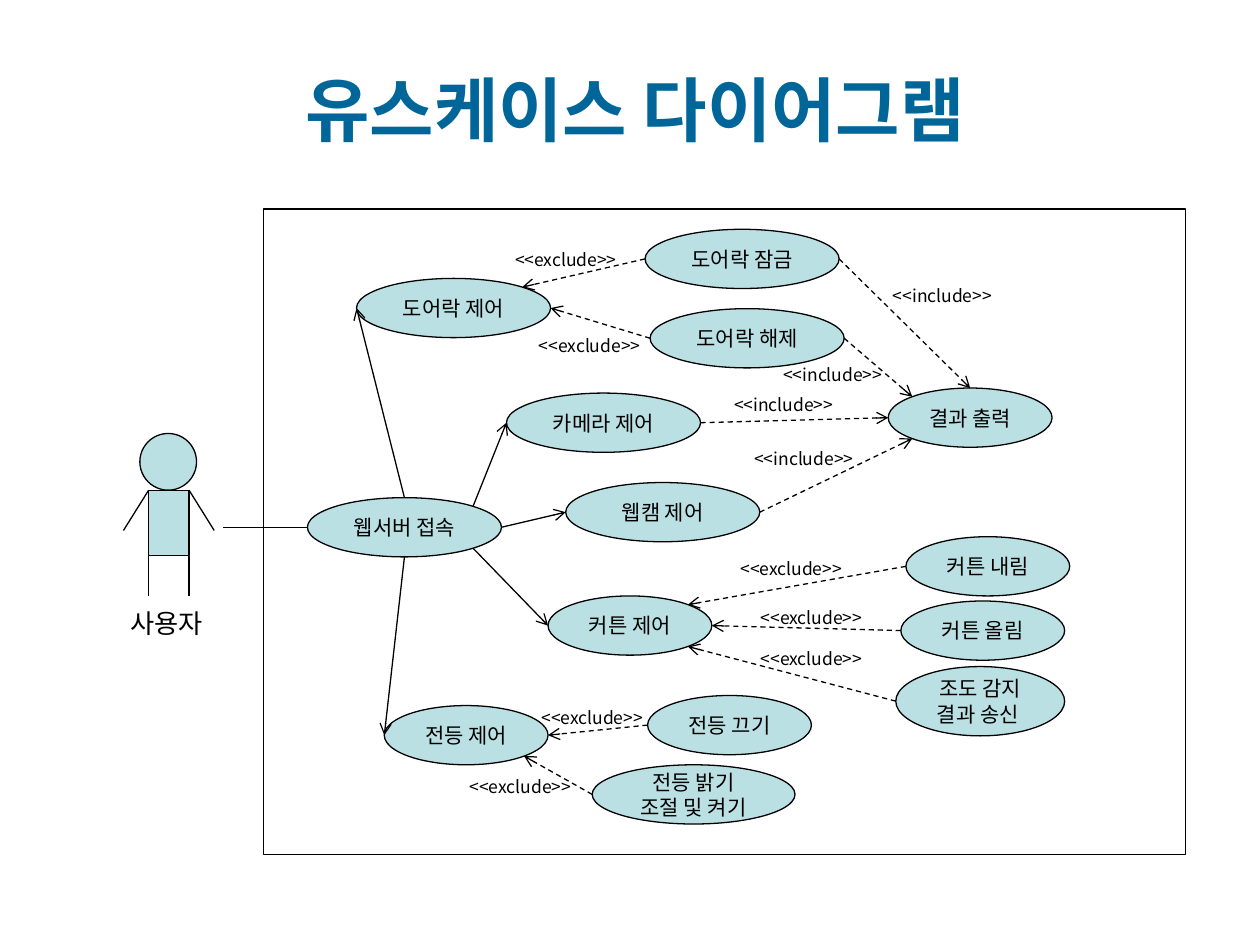
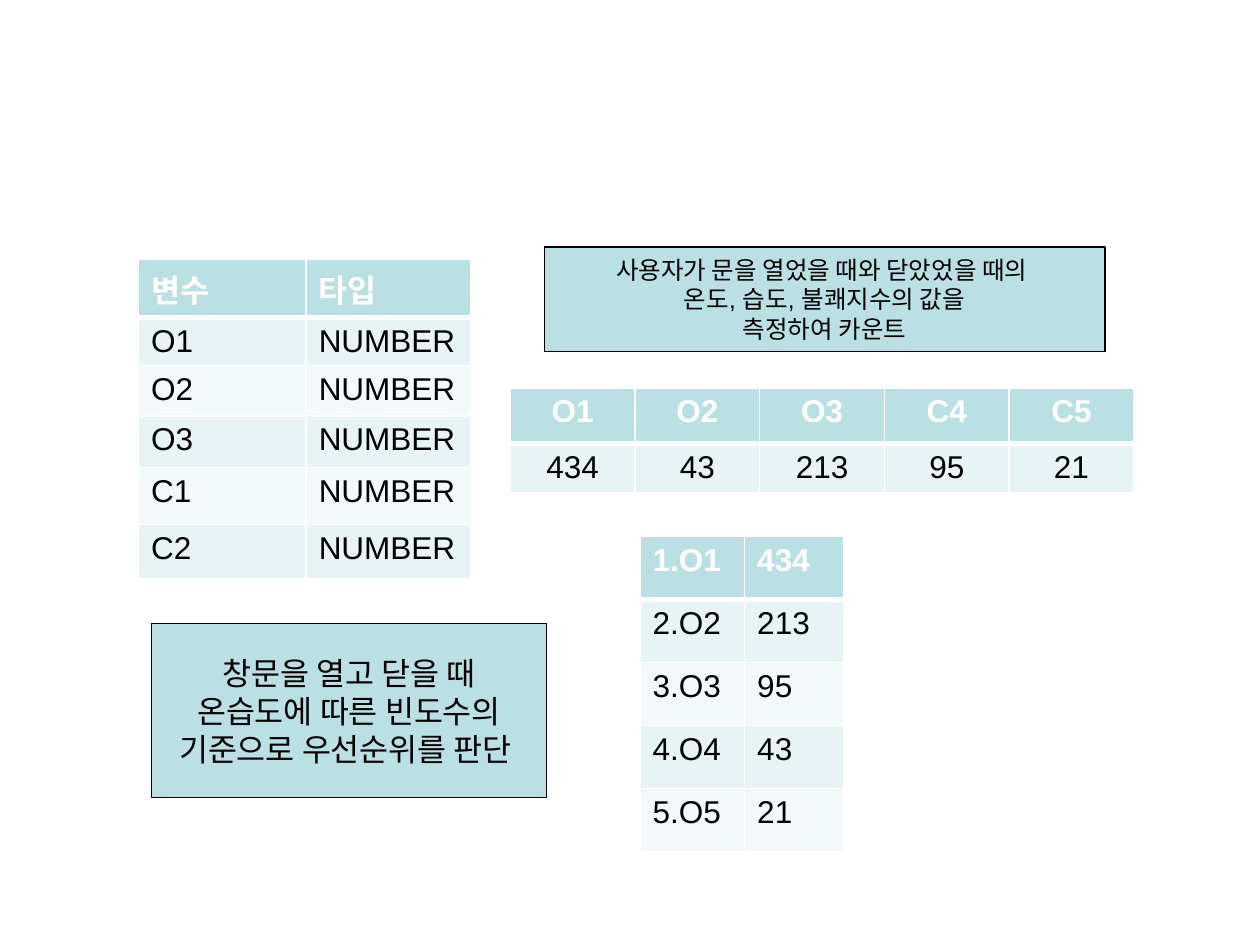
from dataclasses import dataclass
from itertools import product
from math import sqrt
from typing import NamedTuple

from lxml import etree
from pptx import Presentation
from pptx.dml.color import RGBColor
from pptx.enum.dml import MSO_LINE
from pptx.enum.shapes import MSO_CONNECTOR, MSO_SHAPE
from pptx.enum.text import MSO_ANCHOR, PP_ALIGN
from pptx.oxml.ns import qn
from pptx.util import Inches, Pt

OVAL, RECT = MSO_SHAPE.OVAL, MSO_SHAPE.RECTANGLE
STRAIGHT, DASH = MSO_CONNECTOR.STRAIGHT, MSO_LINE.DASH
LEFT, CENTER = PP_ALIGN.LEFT, PP_ALIGN.CENTER
TOP, MIDDLE = MSO_ANCHOR.TOP, MSO_ANCHOR.MIDDLE


@dataclass(frozen=True)
class Theme:
    title: str = "006699"
    ink: str = "000000"
    paper: str = "FFFFFF"
    accent: str = "BBE0E3"
    bands: tuple[str, str] = ("E7F3F4", "F3F9FA")
    title_font: str = "League Spartan"
    body_font: str = "Arial"
    korean_font: str = "Noto Sans CJK KR"
    title_size: float = 40
    large: float = 18
    actor_size: float = 15
    note_size: float = 14
    case_size: float = 12
    label_size: float = 10
    line: float = 0.75


THEME = Theme()


class Box(NamedTuple):
    left: float
    top: float
    width: float
    height: float


class Point(NamedTuple):
    x: float
    y: float


class UseCase(NamedTuple):
    text: str
    left: float
    top: float
    width: float = 1.54
    height: float = 0.47

    def at(self, side: str) -> Point:
        """Point on the oval, named by compass direction."""
        dx = ("E" in side) - ("W" in side)
        dy = ("S" in side) - ("N" in side)
        reach = 0.5 / sqrt(2) if dx and dy else 0.5
        return Point(self.left + self.width * (0.5 + dx * reach),
                     self.top + self.height * (0.5 + dy * reach))


class Relation(NamedTuple):
    source: str
    source_side: str
    target: str
    target_side: str
    dashed: bool = True


class Label(NamedTuple):
    text: str
    left: float
    top: float


class Grid(NamedTuple):
    left: float
    top: float
    columns: list[float]
    heights: list[float]
    rows: list[list[str]]
    align: PP_ALIGN = LEFT


NARROW = 1.3
USE_CASES = {
    "server": UseCase("웹서버 접속", 2.44, 3.95),
    "door": UseCase("도어락 제어", 2.83, 2.21),
    "light": UseCase("전등 제어", 3.05, 5.6, NARROW),
    "curtain": UseCase("커튼 제어", 4.35, 4.73, NARROW),
    "unlock": UseCase("도어락 해제", 5.16, 2.45),
    "lock": UseCase("도어락 잠금", 5.12, 1.82),
    "curtain_down": UseCase("커튼 내림", 7.19, 4.26, NARROW),
    "curtain_up": UseCase("커튼 올림", 7.15, 4.77, NARROW),
    "light_off": UseCase("전등 끄기", 5.14, 5.52, NARROW),
    "light_on": UseCase("전등 밝기 조절 및 켜기", 4.7, 6.07, 1.61),
    "result": UseCase("결과 출력", 7.05, 3.08, NARROW),
    "camera": UseCase("카메라 제어", 4.02, 3.12),
    "light_sensor": UseCase("조도 감지 결과 송신 ", 7.11, 5.29, 1.34, 0.55),
    "webcam": UseCase("웹캠 제어", 4.49, 3.83),
}
RELATIONS = [
    Relation("server", "N", "door", "W", False),
    Relation("server", "NE", "camera", "W", False),
    Relation("server", "E", "webcam", "W", False),
    Relation("server", "SE", "curtain", "W", False),
    Relation("server", "S", "light", "W", False),
    Relation("lock", "W", "door", "NE"),
    Relation("unlock", "W", "door", "E"),
    Relation("curtain_down", "W", "curtain", "NE"),
    Relation("curtain_up", "W", "curtain", "E"),
    Relation("light_sensor", "W", "curtain", "SE"),
    Relation("light_off", "W", "light", "E"),
    Relation("light_on", "W", "light", "SE"),
    Relation("lock", "E", "result", "N"),
    Relation("unlock", "E", "result", "NW"),
    Relation("camera", "E", "result", "W"),
    Relation("webcam", "E", "result", "SW"),
]
INCLUDE, EXCLUDE = "<<include>>", "<<exclude>>"
LABELS = [
    Label(EXCLUDE, 3.94, 1.93), Label(EXCLUDE, 4.13, 2.61),
    Label(EXCLUDE, 5.73, 4.38), Label(EXCLUDE, 5.89, 4.77),
    Label(EXCLUDE, 5.89, 5.09), Label(EXCLUDE, 4.15, 5.56),
    Label(EXCLUDE, 3.58, 6.11), Label(INCLUDE, 6.93, 2.21),
    Label(INCLUDE, 6.06, 2.84), Label(INCLUDE, 5.67, 3.08),
    Label(INCLUDE, 5.83, 3.51),
]
GRIDS = [
    Grid(1.1, 2.06, [1.33, 1.31], [0.44, 0.38, 0.4, 0.41, 0.45, 0.43],
         [["변수", "타입"]] + [[name, "NUMBER"] for name in ("O1", "O2", "O3", "C1", "C2")]),
    Grid(4.05, 3.08, [0.99] * 5, [0.44, 0.39],
         [["O1", "O2", "O3", "C4", "C5"], ["434", "43", "213", "95", "21"]], CENTER),
    Grid(5.08, 4.26, [0.83, 0.79], [0.5] * 5,
         [["1.O1", "434"], ["2.O2", "213"], ["3.O3", "95"], ["4.O4", "43"], ["5.O5", "21"]]),
]


def inches(values) -> list[int]:
    return [Inches(value) for value in values]


def write(frame, text: str, *, size: float, color: str = THEME.ink,
          font: str = THEME.body_font, bold: bool = False,
          align: PP_ALIGN = CENTER, anchor: MSO_ANCHOR | None = MIDDLE) -> None:
    """Fill a text frame, one paragraph for each line of text."""
    frame.word_wrap = True
    if anchor is not None:
        frame.vertical_anchor = anchor
    for index, line in enumerate(text.split("\n")):
        paragraph = frame.add_paragraph() if index else frame.paragraphs[0]
        paragraph.alignment = align
        run = paragraph.add_run()
        run.text = line
        run.font.size, run.font.bold, run.font.name = Pt(size), bold, font
        run.font.color.rgb = RGBColor.from_string(color)
        etree.SubElement(run.font._element, qn("a:ea"), typeface=THEME.korean_font)


def add_label(shapes, box: Box, text: str, **style) -> None:
    write(shapes.add_textbox(*inches(box)).text_frame, text, **style)


def add_outlined(shapes, kind: MSO_SHAPE, box: Box, text: str = "",
                 size: float = THEME.case_size, fill: str = THEME.accent) -> None:
    shape = shapes.add_shape(kind, *inches(box))
    shape.shadow.inherit = False
    shape.fill.solid()
    shape.fill.fore_color.rgb = RGBColor.from_string(fill)
    shape.line.color.rgb = RGBColor.from_string(THEME.ink)
    shape.line.width = Pt(THEME.line)
    if text:
        write(shape.text_frame, text, size=size)


def add_line(shapes, start: Point, end: Point, arrow: bool = False,
             dashed: bool = False) -> None:
    connector = shapes.add_connector(STRAIGHT, *inches(start + end))
    line = connector.line
    line.color.rgb = RGBColor.from_string(THEME.ink)
    line.width = Pt(THEME.line)
    if dashed:
        line.dash_style = DASH
    properties = connector._element.spPr
    if arrow:
        etree.SubElement(properties.find(qn("a:ln")), qn("a:tailEnd"), type="arrow")
    etree.SubElement(properties, qn("a:effectLst"))


def set_borders(cell, bottom: float) -> None:
    properties = cell._tc.get_or_add_tcPr()
    widths = {"lnL": 1, "lnR": 1, "lnT": 1, "lnB": bottom}
    for index, (side, width) in enumerate(widths.items()):
        border = etree.Element(qn(f"a:{side}"), w=str(Pt(width)))
        fill = etree.SubElement(border, qn("a:solidFill"))
        etree.SubElement(fill, qn("a:srgbClr"), val=THEME.paper)
        properties.insert(index, border)


def add_grid(shapes, grid: Grid) -> None:
    box = Box(grid.left, grid.top, sum(grid.columns), sum(grid.heights))
    table = shapes.add_table(len(grid.rows), len(grid.columns), *inches(box)).table
    for column, width in zip(table.columns, grid.columns):
        column.width = Inches(width)
    for row, height in zip(table.rows, grid.heights):
        row.height = Inches(height)
    for r, c in product(range(len(grid.rows)), range(len(grid.columns))):
        cell, header = table.cell(r, c), r == 0
        cell.fill.solid()
        cell.fill.fore_color.rgb = RGBColor.from_string(
            THEME.accent if header else THEME.bands[(r - 1) % 2])
        # Below the header the rule is heavier; the next row must match it
        set_borders(cell, bottom=3 if header else 1)
        if r == 1:
            cell._tc.tcPr.find(qn("a:lnT")).set("w", str(Pt(3)))
        write(cell.text_frame, grid.rows[r][c], size=THEME.large, bold=header,
              color=THEME.paper if header else THEME.ink, align=grid.align, anchor=None)


def add_actor(shapes) -> None:
    actor = shapes.add_group_shape().shapes
    body = Box(1.18, 3.89, 0.32, 0.52)
    limb, reach = 0.32, 0.2
    right, hip = body.left + body.width, body.top + body.height
    add_outlined(actor, OVAL, Box(1.11, 3.44, 0.45, 0.45))
    add_outlined(actor, RECT, body)
    for x, outward in ((body.left, -reach), (right, reach)):
        add_line(actor, Point(x, body.top), Point(x + outward, body.top + limb))
        add_line(actor, Point(x, hip), Point(x, hip + limb))
    add_label(actor, Box(0.91, 4.77, 0.83, 0.39), "사용자", size=THEME.actor_size,
              font=THEME.korean_font, anchor=TOP)


def build_use_case_slide(shapes) -> None:
    add_label(shapes, Box(0.58, 0.3, 8.92, 1.12), "유스케이스 다이어그램",
              size=THEME.title_size, color=THEME.title, font=THEME.title_font, bold=True)
    # System boundary and actor
    add_outlined(shapes, RECT, Box(2.09, 1.66, 7.32, 5.12), fill=THEME.paper)
    add_actor(shapes)
    # Use cases and their relations
    for case in USE_CASES.values():
        add_outlined(shapes, OVAL, Box(*case[1:]), case.text)
    entry = USE_CASES["server"].at("W")
    add_line(shapes, Point(1.77, entry.y), entry)
    for relation in RELATIONS:
        add_line(shapes, USE_CASES[relation.source].at(relation.source_side),
                 USE_CASES[relation.target].at(relation.target_side),
                 arrow=True, dashed=relation.dashed)
    for label in LABELS:
        add_label(shapes, Box(label.left, label.top, 1.1, 0.28), label.text,
                  size=THEME.label_size, font=THEME.korean_font, anchor=TOP)


def build_count_slide(shapes) -> None:
    for grid in GRIDS:
        add_grid(shapes, grid)
    # Explanations
    add_outlined(shapes, RECT, Box(4.32, 1.96, 4.45, 0.83),
                 "사용자가 문을 열었을 때와 닫았었을 때의 \n온도, 습도, 불쾌지수의 값을\n측정하여 카운트",
                 THEME.note_size)
    add_outlined(shapes, RECT, Box(1.2, 4.95, 3.14, 1.38),
                 "창문을 열고 닫을 때 온습도에 따른 빈도수의 기준으로 우선순위를 판단 ",
                 THEME.large)


def main() -> None:
    deck = Presentation()
    deck.slide_width, deck.slide_height = Inches(10), Inches(7.5)
    for build in (build_use_case_slide, build_count_slide):
        build(deck.slides.add_slide(deck.slide_layouts[6]).shapes)
    deck.save("out.pptx")


if __name__ == "__main__":
    main()
